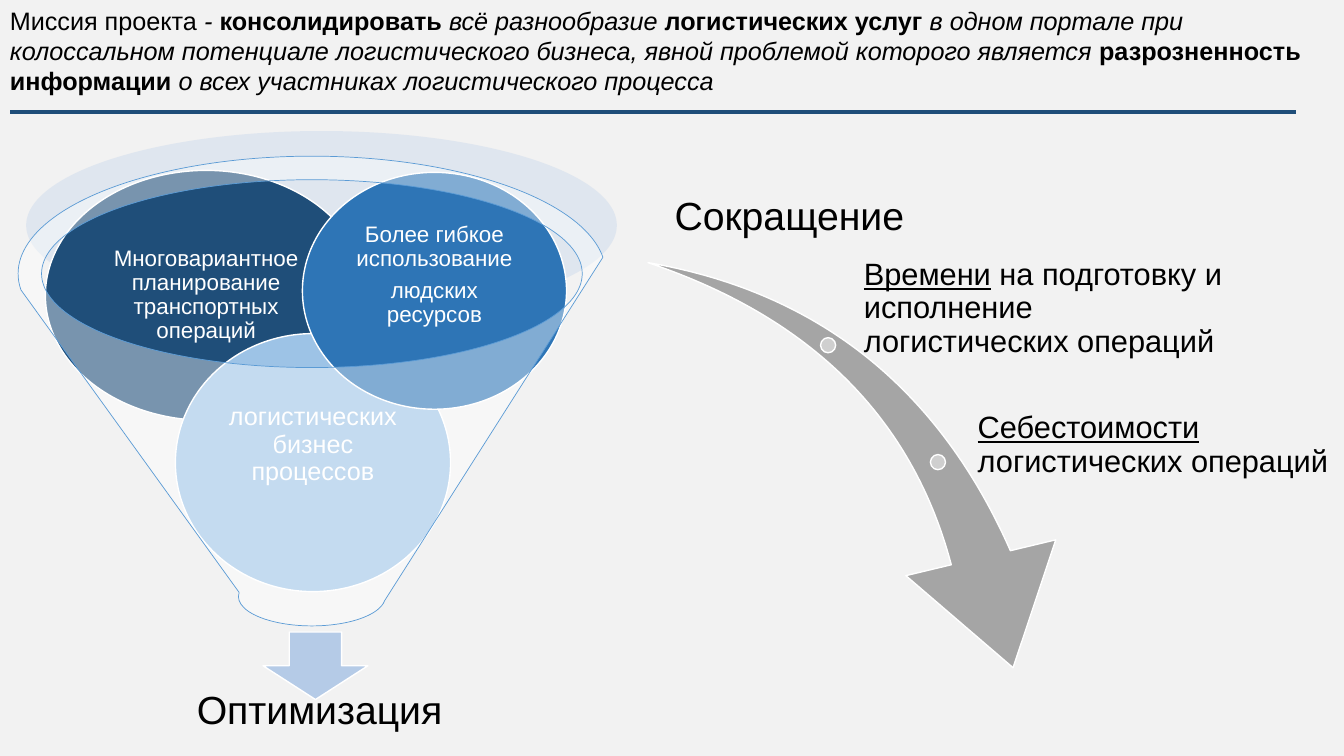
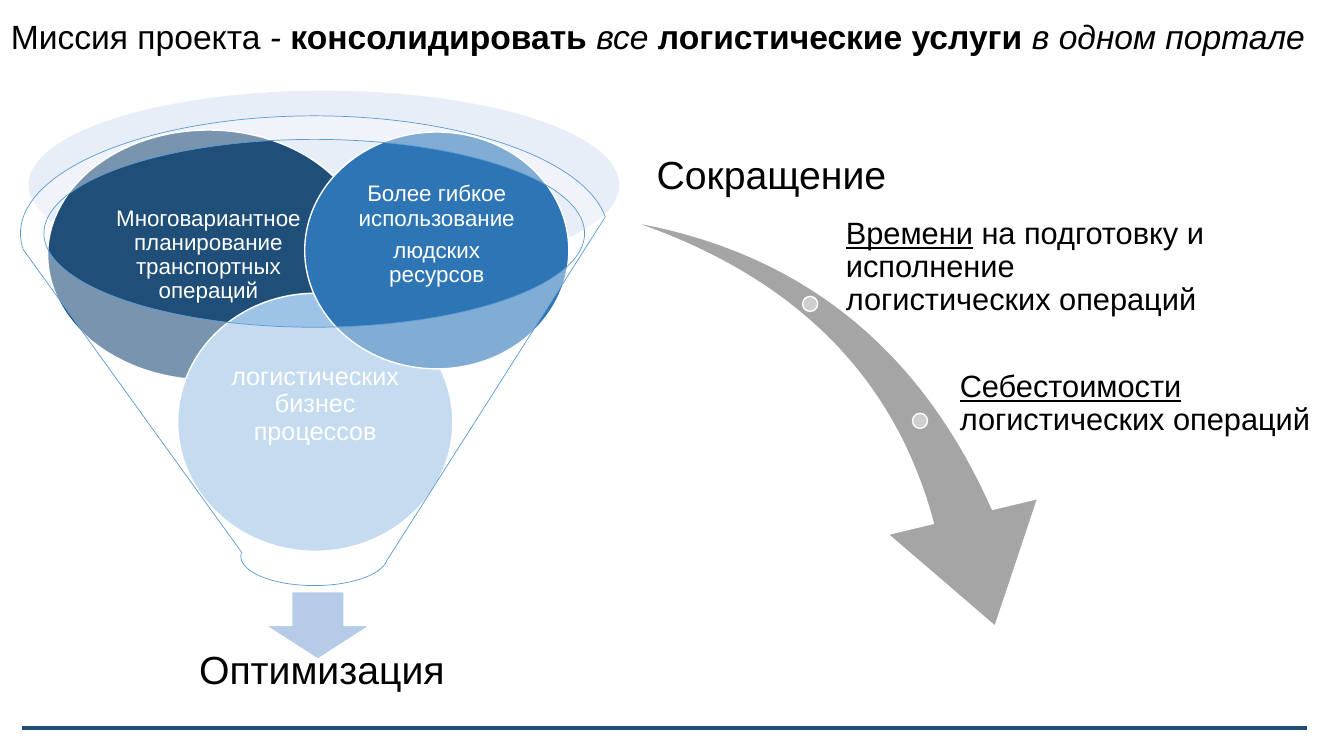
from dataclasses import dataclass
from typing import Any

from lxml import etree
from pptx import Presentation
from pptx import util as u
from pptx.dml.color import RGBColor
from pptx.enum import shapes, text
from pptx.oxml import ns

COLUMNS, ROWS = 133.33, 75
CELL = u.Inches(0.1)
FONT = "Arial"
COLORS = {
    "paper": "FFFFFF", "mist": "F2F2F2", "ink": "000000", "navy": "1F4E79",
    "blue": "2E75B6", "sky": "9DC3E6", "rim": "C4D5EB", "outline": "5B9BD5",
    "pointer": "B5CBE7", "swoosh": "A5A5A5", "dot": "CFCFCF",
}
Shape = shapes.MSO_SHAPE
Anchor = text.MSO_ANCHOR
Align = text.PP_ALIGN


@dataclass(frozen=True)
class Run:
    """A stretch of text in one style."""
    words: str
    bold: bool = False
    italic: bool = False
    underline: bool = False


@dataclass(frozen=True)
class Words:
    """Paragraphs of runs with their shared layout."""
    paragraphs: list[list[Run]]
    size: int
    color: str = "ink"
    align: Any = Align.CENTER
    anchor: Any = Anchor.MIDDLE
    inset: float = 0.3
    lift: float = 0
    tight: bool = True


@dataclass(frozen=True)
class Box:
    """A place on the grid: left column, top row, columns wide, rows high."""
    left: float
    top: float
    width: float
    height: float

    def lengths(self, shift: tuple[float, float] = (0, 0)) -> list[int]:
        """Turn the cells into lengths after a shift."""
        cells = (self.left + shift[0], self.top + shift[1], self.width, self.height)
        return [round(cell * CELL) for cell in cells]


@dataclass(frozen=True)
class Part:
    """One piece of a diagram; without a preset it is a text box."""
    box: Box
    preset: Any = None
    fill: str = "paper"
    line: str | None = "paper"
    weight: float = 1
    opacity: int = 100
    rotation: float = 0
    adjustments: tuple[float, ...] = ()
    words: Words | None = None


@dataclass(frozen=True)
class Page:
    """What differs from slide to slide."""
    background: str
    title: Box
    mission: Words
    rule: Box
    swoosh_shift: tuple[float, float]
    funnel_shift: tuple[float, float]


SWOOSH = [
    Part(Box(63.1, 27.4, 44.3, 36.8), Shape.SWOOSH_ARROW, "swoosh",
         rotation=83, adjustments=(0.163, 0.314)),
    *[Part(Box(left, top, 1.5, 1.5), Shape.OVAL, "dot")
      for left, top in [(81.4, 33.5), (92.3, 45.1)]],
    Part(Box(63.7, 17.4, 29.2, 6.7),
         words=Words([[Run("Сокращение")]], 28, anchor=Anchor.BOTTOM, inset=0.4)),
    Part(Box(85.4, 25.3, 37.5, 10.7),
         words=Words([[Run("Времени", underline=True),
                       Run(" на подготовку и исполнение логистических операций")]],
                     22, align=Align.LEFT)),
    Part(Box(96.7, 40.6, 36.7, 10.7),
         words=Words([[Run("Себестоимости", underline=True),
                       Run(" логистических операций")]],
                     22, align=Align.LEFT, anchor=Anchor.TOP)),
]
FUNNEL = [
    Part(Box(2.6, 13, 58.6, 18.7), Shape.OVAL, "rim", line=None, opacity=40),
    Part(Box(26.1, 62.7, 10.4, 6.7), Shape.DOWN_ARROW, "pointer"),
    Part(Box(14, 68.7, 35.4, 3.8), words=Words([[Run("Оптимизация")]], 28)),
    Part(Box(4.5, 16.9, 31.9, 24.8), Shape.OVAL, "navy",
         words=Words([[Run("Многовариантное планирование транспортных операций")]],
                     16, "paper", inset=0.2)),
    Part(Box(17.4, 33.1, 27.3, 25.6), Shape.OVAL, "sky",
         words=Words([[Run("логистических бизнес процессов")]], 18, "paper", lift=3.5)),
    Part(Box(30, 17.1, 26.2, 23.5), Shape.OVAL, "blue",
         words=Words([[Run("Более гибкое использование")], [Run("людских ресурсов")]],
                     16, "paper", inset=0.2, lift=3.1)),
    Part(Box(1.8, 15.5, 58.3, 46.6), Shape.FUNNEL, line="outline",
         weight=0.5, opacity=40),
]


def mission(runs: list[Run], size: int) -> Words:
    """Lay out a mission statement after its shared opening."""
    opening = [Run("Миссия проекта "), Run("- ", italic=True),
               Run("консолидировать ", bold=True)]
    return Words([opening + runs], size, align=Align.LEFT,
                 anchor=Anchor.TOP, inset=1, tight=False)


PAGES = [
    Page("mist", Box(0, 0, 132.4, 13.1),
         mission([
             Run("всё разнообразие ", italic=True),
             Run("логистических услуг ", bold=True),
             Run("в одном портале при колоссальном потенциале логистического бизнеса, "
                 "явной проблемой которого является ", italic=True),
             Run("разрозненность информации ", bold=True),
             Run("о всех участниках логистического процесса", italic=True),
         ], 18),
         Box(1, 11.1, 127.6, 0), (0, 0), (0, 0)),
    Page("paper", Box(0.1, 1.1, 132.3, 5),
         mission([
             Run("все ", italic=True),
             Run("логистические услуги ", bold=True),
             Run("в одном портале", italic=True),
         ], 24),
         Box(2.2, 72.2, 127.5, 0), (-1.78, -4.1), (0.23, -4)),
]


def rgb(name: str) -> RGBColor:
    """Look up a named colour."""
    return RGBColor.from_string(COLORS[name])


def write(shape: Any, words: Words) -> None:
    """Fill a shape with text, run by run."""
    frame = shape.text_frame
    frame.word_wrap = True
    frame.vertical_anchor = words.anchor
    inset = round(words.inset * CELL)
    frame.margin_left = frame.margin_right = inset
    frame.margin_top = inset if words.tight else inset // 2
    frame.margin_bottom = frame.margin_top + round(words.lift * CELL)
    for index, runs in enumerate(words.paragraphs):
        paragraph = frame.add_paragraph() if index else frame.paragraphs[0]
        paragraph.alignment = words.align
        if words.tight:
            paragraph.line_spacing = 0.9
            paragraph.space_after = u.Pt(0.35 * words.size)
        for piece in runs:
            run = paragraph.add_run()
            run.text = piece.words
            run.font.name = FONT
            run.font.size = u.Pt(words.size)
            run.font.color.rgb = rgb(words.color)
            run.font.bold = piece.bold
            run.font.italic = piece.italic
            run.font.underline = piece.underline


def paint(shape: Any, part: Part) -> None:
    """Give a preset shape its fill, outline and form."""
    shape.shadow.inherit = False
    shape.rotation = part.rotation
    for index, value in enumerate(part.adjustments):
        shape.adjustments[index] = value
    shape.fill.solid()
    shape.fill.fore_color.rgb = rgb(part.fill)
    if part.opacity < 100:
        color = shape.fill._xPr.find(".//" + ns.qn("a:srgbClr"))
        etree.SubElement(color, ns.qn("a:alpha")).set("val", str(part.opacity * 1000))
    if part.line:
        shape.line.color.rgb = rgb(part.line)
        shape.line.width = u.Pt(part.weight)
    else:
        shape.line.fill.background()


def draw_diagram(slide: Any, parts: list[Part], shift: tuple[float, float]) -> None:
    """Draw the parts of a diagram as one group."""
    group = slide.shapes.add_group_shape()
    for part in parts:
        place = part.box.lengths(shift)
        if part.preset is None:
            shape = group.shapes.add_textbox(*place)
        else:
            shape = group.shapes.add_shape(part.preset, *place)
            paint(shape, part)
        if part.words:
            write(shape, part.words)


def draw_rule(slide: Any, box: Box) -> None:
    """Draw the thick navy rule."""
    left, top, width, height = box.lengths()
    rule = slide.shapes.add_connector(
        shapes.MSO_CONNECTOR.STRAIGHT, left, top, left + width, top + height)
    rule.line.color.rgb = rgb("navy")
    rule.line.width = u.Pt(3)
    etree.SubElement(rule._element.spPr, ns.qn("a:effectLst"))


def draw_page(presentation: Any, page: Page) -> None:
    """Add one slide with both diagrams, the mission and the rule."""
    slide = presentation.slides.add_slide(presentation.slide_layouts[6])
    slide.background.fill.solid()
    slide.background.fill.fore_color.rgb = rgb(page.background)
    draw_diagram(slide, SWOOSH, page.swoosh_shift)
    draw_diagram(slide, FUNNEL, page.funnel_shift)
    write(slide.shapes.add_textbox(*page.title.lengths()), page.mission)
    draw_rule(slide, page.rule)


def main() -> None:
    """Build and save the presentation."""
    presentation = Presentation()
    presentation.slide_width = round(COLUMNS * CELL)
    presentation.slide_height = round(ROWS * CELL)
    for page in PAGES:
        draw_page(presentation, page)
    presentation.save("out.pptx")


if __name__ == "__main__":
    main()
